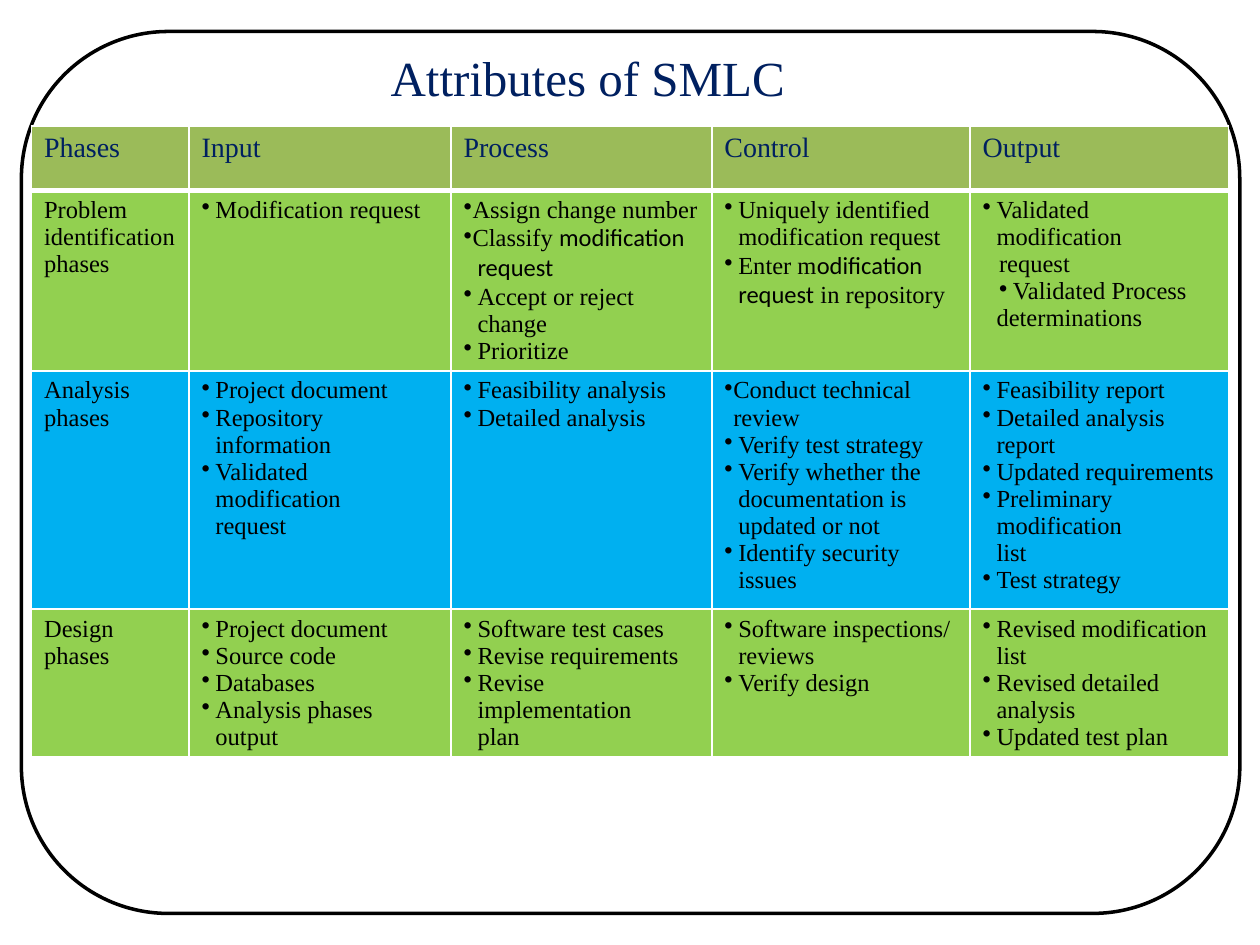
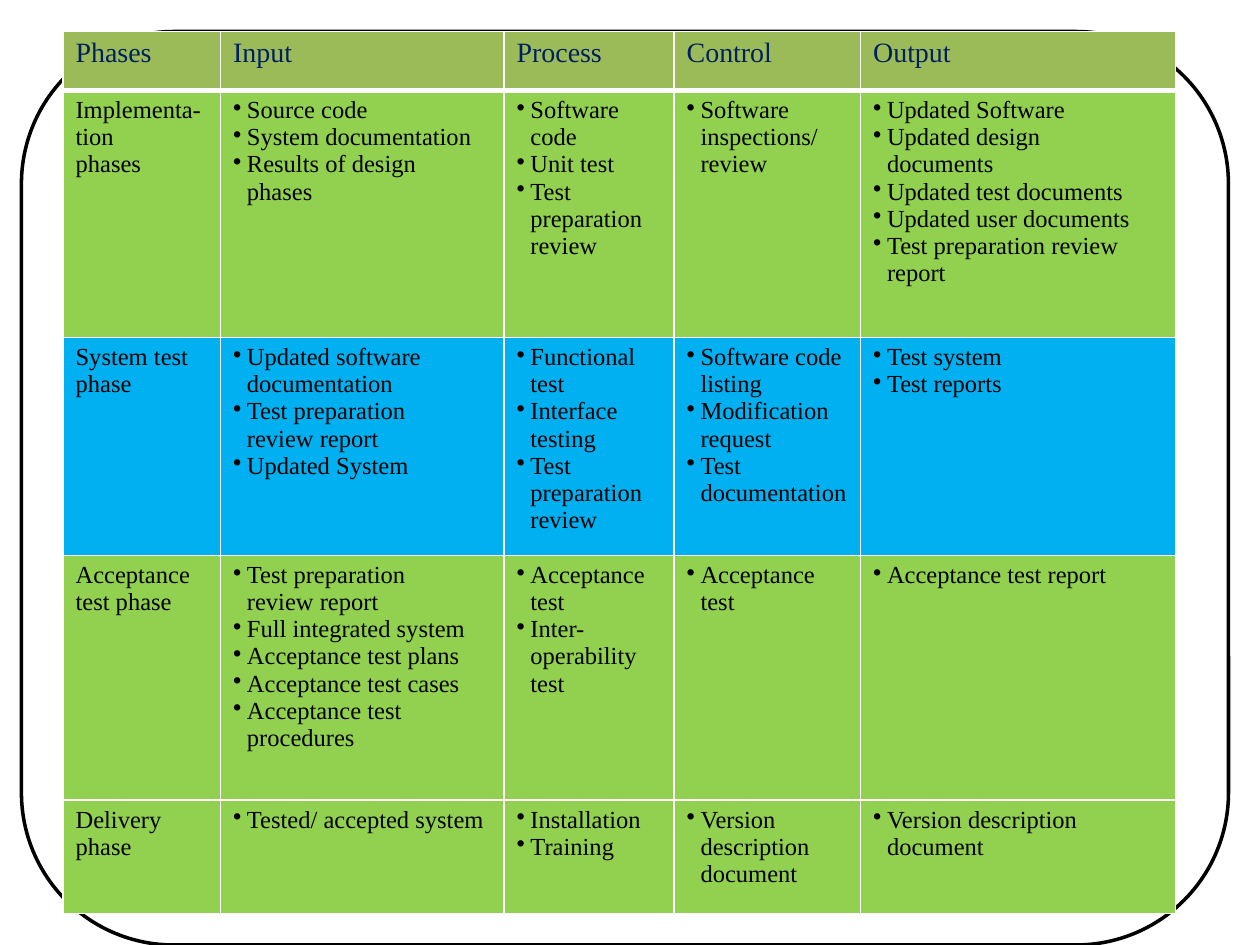
import pptx
import pptx.dml.color
import pptx.enum.shapes
import pptx.enum.text
import pptx.oxml
import pptx.oxml.ns
import pptx.util

Inches = pptx.util.Inches
Pt = pptx.util.Pt

COLORS = {
    "white": "FFFFFF",
    "black": "000000",
    "navy": "002060",
    "header": "9BBB59",
    "green": "92D050",
    "blue": "00B0F0",
}
SERIF, SANS = "Times New Roman", "Calibri"
FONT_MARK, OFFSET_MARK, BULLET = "|", "›", "•"
HANG, TIGHT_HANG, OFFSET = 0.11, 0.07, 0.13
HEADINGS = ["Phases", "Input", "Process", "Control", "Output"]

EARLY_PHASES = [
    ("green", [
        ["Problem identification phases"],
        ["• Modification request"],
        ["•Assign change number", "•Classify |modification", "|request",
         "• Accept or reject change", "• Prioritize"],
        ["• Uniquely identified", "modification request", "• Enter m|odification",
         "|request| in repository"],
        ["• Validated modification", "›request", "›• Validated Process", "determinations"],
    ]),
    ("blue", [
        ["Analysis phases"],
        ["• Project document", "• Repository information", "• Validated modification",
         "request"],
        ["• Feasibility analysis", "• Detailed analysis"],
        ["•Conduct technical review", "• Verify test strategy", "• Verify whether the",
         "documentation is updated or not", "• Identify security issues"],
        ["• Feasibility report", "• Detailed analysis", "report", "• Updated requirements",
         "• Preliminary modification", "list", "• Test strategy"],
    ]),
    ("green", [
        ["Design phases"],
        ["• Project document", "• Source code", "• Databases", "• Analysis phases output"],
        ["• Software test cases", "• Revise requirements", "• Revise implementation", "plan"],
        ["• Software inspections/", "reviews", "• Verify design"],
        ["• Revised modification list", "• Revised detailed analysis", "• Updated test plan"],
    ]),
]

LATE_PHASES = [
    ("green", [
        ["Implementa-tion", "phases"],
        ["• Source code", "• System documentation", "• Results of design", "phases"],
        ["• Software code", "• Unit test", "• Test preparation", "review"],
        ["• Software inspections/", "review"],
        ["• Updated Software", "• Updated design", "documents", "• Updated test documents",
         "• Updated user documents", "• Test preparation review", "report"],
    ]),
    ("blue", [
        ["System test phase"],
        ["• Updated software", "documentation", "• Test preparation", "review report",
         "• Updated System"],
        ["• Functional test", "• Interface testing", "• Test preparation", "review"],
        ["• Software code listing", "• Modification request", "• Test documentation"],
        ["• Test system", "• Test reports"],
    ]),
    ("green", [
        ["Acceptance test phase"],
        ["• Test preparation", "review report", "• Full integrated system",
         "• Acceptance test plans", "• Acceptance test cases", "• Acceptance test",
         "procedures"],
        ["• Acceptance test", "• Inter-operability test"],
        ["• Acceptance test"],
        ["• Acceptance test report"],
    ]),
    ("green", [
        ["Delivery phase"],
        ["• Tested/ accepted system"],
        ["• Installation", "• Training"],
        ["• Version description", "document"],
        ["• Version description", "document"],
    ]),
]


def rgb(name):
    return pptx.dml.color.RGBColor.from_string(COLORS[name])


def write_text(para, text, size=14, color="black", margin=0, hang=0, bullet=False):
    props = para._p.get_or_add_pPr()
    props.set("marL", str(Inches(margin)))
    props.set("indent", str(Inches(-hang)))
    mark = pptx.oxml.parse_xml(
        f'<a:{"buChar" if bullet else "buNone"} {pptx.oxml.ns.nsdecls("a")}/>')
    if bullet:
        mark.set("char", BULLET)
    props.append(mark)
    for index, part in enumerate(text.split(FONT_MARK)):
        if part:
            span = para.add_run()
            span.text = part
            span.font.name = SANS if index % 2 else SERIF
            span.font.size = Pt(size)
            span.font.color.rgb = rgb(color)


def write_item(para, item):
    offset = OFFSET if item.startswith(OFFSET_MARK) else 0
    item = item.removeprefix(OFFSET_MARK)
    bullet = item.startswith(BULLET)
    text = item.removeprefix(BULLET)
    if not bullet:
        write_text(para, text, margin=offset or HANG)
        return
    hang = HANG if text.startswith(" ") else TIGHT_HANG
    write_text(para, text.strip(), margin=offset + hang, hang=hang, bullet=True)


def format_cell(cell, fill, bottom=1):
    props = cell._tc.get_or_add_tcPr()
    for side, width in (("L", 1), ("R", 1), ("T", 1), ("B", bottom)):
        props.append(pptx.oxml.parse_xml(
            f'<a:ln{side} {pptx.oxml.ns.nsdecls("a")} w="{Pt(width)}"><a:solidFill>'
            f'<a:srgbClr val="{COLORS["white"]}"/></a:solidFill></a:ln{side}>'))
    cell.fill.solid()
    cell.fill.fore_color.rgb = rgb(fill)


def add_frame(page, box):
    frame = page.shapes.add_shape(
        pptx.enum.shapes.MSO_SHAPE.ROUNDED_RECTANGLE, *map(Inches, box))
    frame.shadow.inherit = False
    frame.fill.solid()
    frame.fill.fore_color.rgb = rgb("white")
    frame.line.color.rgb = rgb("black")
    frame.line.width = Pt(2)


def add_title(page, text, box):
    title = page.shapes.title
    title.left, title.top, title.width, title.height = map(Inches, box)
    page.shapes._spTree.append(title._element)
    title.text_frame.vertical_anchor = pptx.enum.text.MSO_ANCHOR.TOP
    para = title.text_frame.paragraphs[0]
    para.alignment = pptx.enum.text.PP_ALIGN.LEFT
    write_text(para, text, size=28, color="navy")


def add_phase_table(page, phases, left, top, widths, heights):
    table = page.shapes.add_table(
        len(heights), len(widths), Inches(left), Inches(top),
        Inches(sum(widths)), Inches(sum(heights))).table
    table.first_row = False
    table.horz_banding = False
    for column, width in zip(table.columns, widths):
        column.width = Inches(width)
    for row, height in zip(table.rows, heights):
        row.height = Inches(height)
    for column, heading in enumerate(HEADINGS):
        cell = table.cell(0, column)
        format_cell(cell, "header", bottom=3)
        write_text(cell.text_frame.paragraphs[0], heading, size=16, color="navy")
    for row, (fill, entries) in enumerate(phases, 1):
        for column, items in enumerate(entries):
            cell = table.cell(row, column)
            format_cell(cell, fill)
            for index, item in enumerate(items):
                body = cell.text_frame
                para = body.add_paragraph() if index else body.paragraphs[0]
                if column:
                    write_item(para, item)
                else:
                    write_text(para, item)


def build_early_phases(deck):
    page = deck.slides.add_slide(deck.slide_layouts.get_by_name("Title Only"))
    add_frame(page, (0.17, 0.25, 9.67, 7))
    add_phase_table(page, EARLY_PHASES, 0.25, 1,
                    (1.25, 2.08, 2.07, 2.05, 2.05), (0.51, 1.38, 1.89, 1.13))
    add_title(page, "Attributes of SMLC", (3, 0.33, 3.92, 0.57))


def build_late_phases(deck):
    page = deck.slides.add_slide(deck.slide_layouts.get_by_name("Blank"))
    add_frame(page, (0.17, 0.25, 9.58, 7.25))
    add_phase_table(page, LATE_PHASES, 0.5, 0.25,
                    (1.25, 2.25, 1.35, 1.48, 2.5), (0.47, 1.96, 1.73, 1.94, 0.9))


def main():
    deck = pptx.Presentation()
    deck.slide_width, deck.slide_height = Inches(10), Inches(7.5)
    build_early_phases(deck)
    build_late_phases(deck)
    deck.save("out.pptx")


if __name__ == "__main__":
    main()
